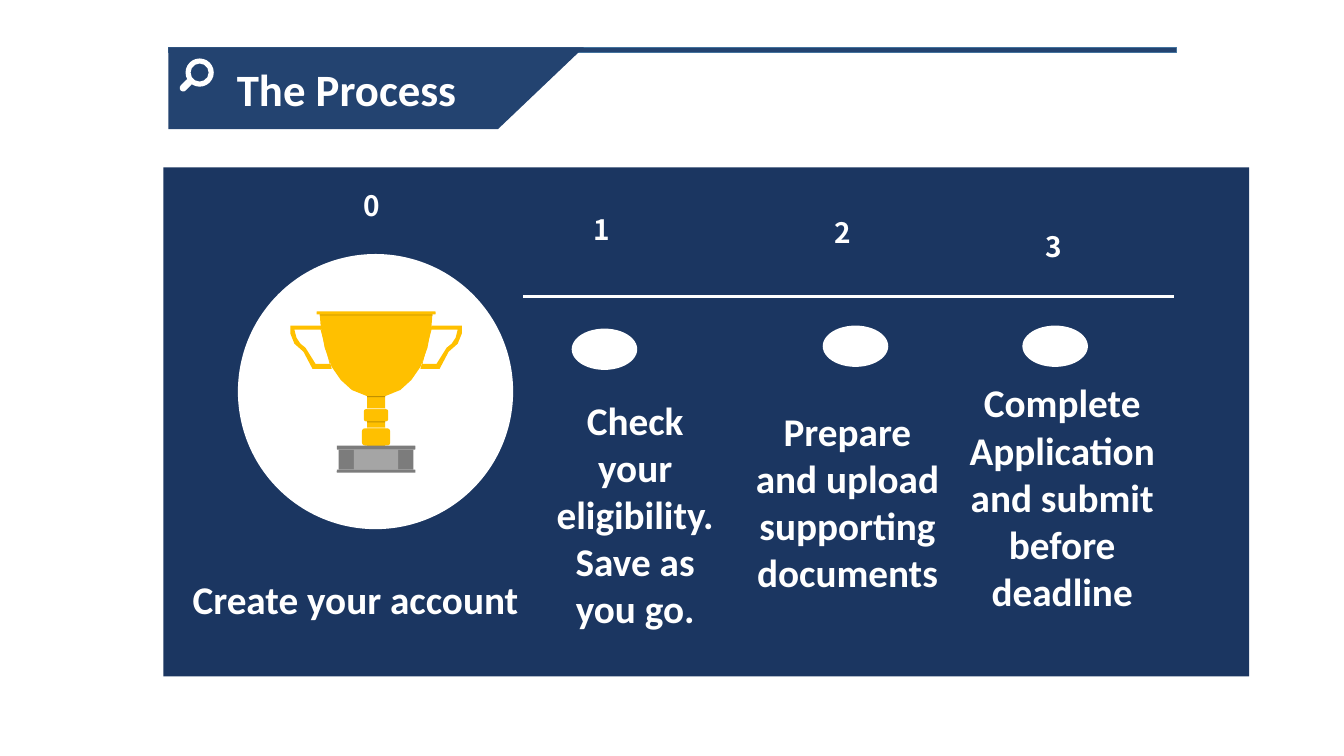
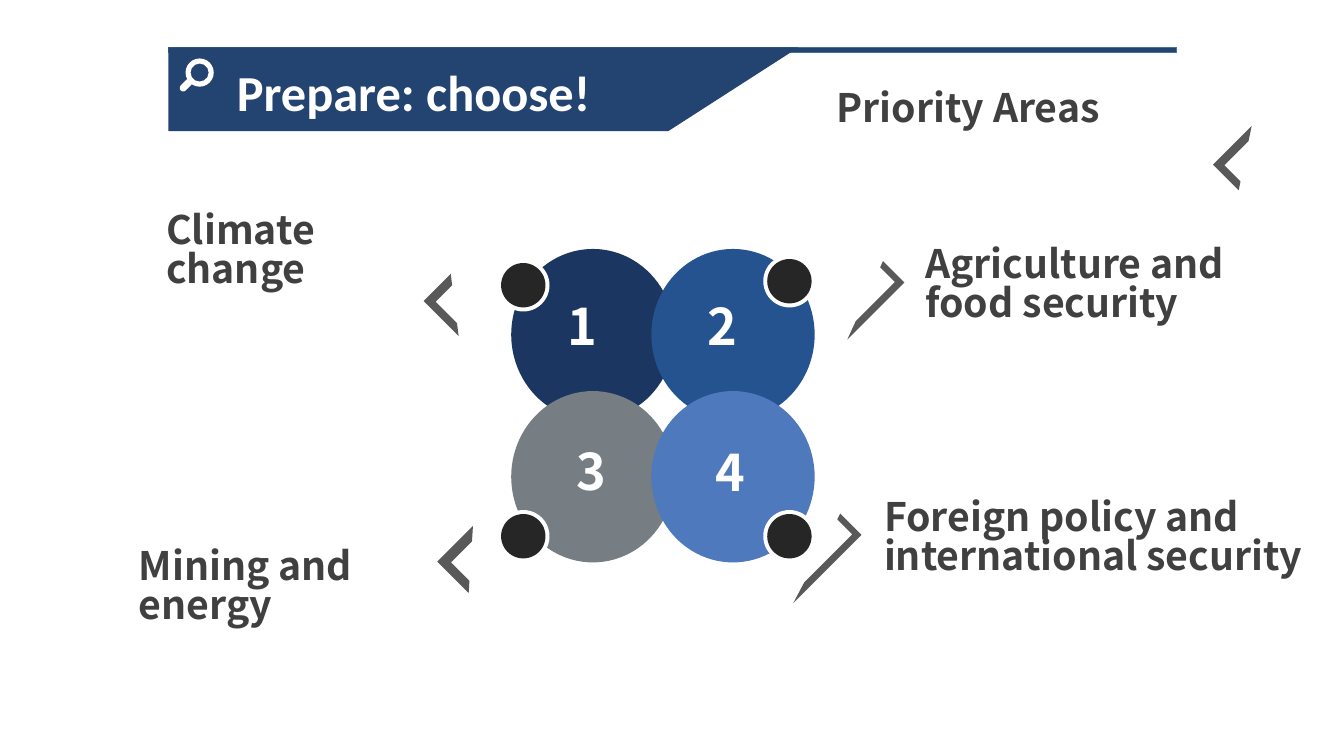
from pptx import Presentation
from pptx.dml.color import RGBColor
from pptx.enum.shapes import MSO_CONNECTOR, MSO_SHAPE
from pptx.enum.text import MSO_ANCHOR, PP_ALIGN
from pptx.oxml.ns import qn
from pptx.util import Pt
from lxml import etree

PX = 9144
RECT, OVAL, ROUND = MSO_SHAPE.RECTANGLE, MSO_SHAPE.OVAL, MSO_SHAPE.ROUNDED_RECTANGLE
DONUT, HALF_FRAME = MSO_SHAPE.DONUT, MSO_SHAPE.HALF_FRAME
LEFT, CENTER, JUSTIFY = PP_ALIGN.LEFT, PP_ALIGN.CENTER, PP_ALIGN.JUSTIFY
TOP, MIDDLE = MSO_ANCHOR.TOP, MSO_ANCHOR.MIDDLE
WHITE, BAND, NAVY = "FFFFFF", "234370", "1B3661"
GOLD, DARK_GOLD, PALE_GOLD = "FFC000", "BF9000", "FFE699"
GREY, LIGHT_GREY = "7C7C7C", "A5A5A5"
INK, CHEVRON, DOT = "404040", "595959", "262626"
BODY, LABEL = "Calibri", "Noto Sans CJK SC"


def shape(s, kind, x, y, w, h, color, rot=0, adj=()):
    if kind is None:
        first, *others = x
        fb = s.shapes.build_freeform(*first[0], scale=PX)
        fb.add_line_segments(first[1:])
        for hole in others:
            fb.move_to(*hole[0])
            fb.add_line_segments(hole[1:])
        sp = fb.convert_to_shape()
    else:
        sp = s.shapes.add_shape(kind, x * PX, y * PX, w * PX, h * PX)
    sp.shadow.inherit = False
    sp.fill.solid()
    sp.fill.fore_color.rgb = RGBColor.from_string(color)
    sp.line.fill.background()
    sp.rotation = rot
    for i, value in enumerate(adj):
        sp.adjustments[i] = value
    return sp


def text(s, paragraphs, x, y, w, h, size, color, font, align=LEFT, anchor=TOP):
    tf = s.shapes.add_textbox(x * PX, y * PX, w * PX, h * PX).text_frame
    tf.word_wrap = True
    tf.vertical_anchor = anchor
    for i, words in enumerate(paragraphs):
        p = tf.paragraphs[0] if i == 0 else tf.add_paragraph()
        p.alignment = align
        if font == LABEL:
            p.line_spacing = 0.83
        r = p.add_run()
        r.text = words
        r.font.size = Pt(size)
        r.font.bold = True
        r.font.name = font
        r.font.color.rgb = RGBColor.from_string(color)


prs = Presentation()
prs.slide_width, prs.slide_height = 1333 * PX, 750 * PX

slides = []
for title, size, top_right, bottom_right, bottom, title_w in [
    ("The Process", 32, 579, 494, 128, 295),
    ("Prepare: choose!", 36, 792, 663, 130, 421),
]:
    s = prs.slides.add_slide(prs.slide_layouts[6])
    slides.append(s)
    rule = shape(s, RECT, 167, 47, 1000, 5, BAND)
    rule.line.color.rgb = RGBColor.from_string("43739E")
    rule.line.width = Pt(1)
    banner = [(167, 47), (top_right, 47), (bottom_right, bottom), (167, bottom)]
    shape(s, None, [banner], 0, 0, 0, WHITE and BAND)
    shape(s, DONUT, 184, 58, 28, 28, WHITE, adj=[0.18])
    shape(s, ROUND, 177, 81, 15, 7, WHITE, rot=315, adj=[0.5])
    text(s, [title], 225, 56, title_w, 68, size, WHITE, BODY, JUSTIFY)

s = slides[0]
shape(s, RECT, 162, 166, 1077, 505, NAVY)
shape(s, OVAL, 236, 252, 273, 273, WHITE)

AXIS = 373
cup = [(429, 310), (428, 323), (424, 345), (417, 364), (408, 377), (397, 387), (382, 393)]
handle = [(428, 323), (458, 323), (458, 331), (454, 341), (445, 349), (436, 366), (417, 366)]
handle_hole = [(428, 327), (454, 327), (452, 335), (448, 341), (443, 345), (433, 361), (419, 361)]
mirrored = [(2 * AXIS - x, y) for x, y in reversed(cup)]
shape(s, None, [cup + mirrored], 0, 0, 0, GOLD)
for side in (1, -1):
    ring = [[(AXIS + side * (x - AXIS), y) for x, y in part] for part in (handle, handle_hole)]
    shape(s, None, ring, 0, 0, 0, GOLD)

for kind, w, y, h, color in [
    (ROUND, 118, 309, 3, GOLD),
    (RECT, 18, 392, 51, GOLD),
    (ROUND, 24, 406, 12, GOLD),
    (ROUND, 28, 425, 17, GOLD),
    (RECT, 112, 312, 1, DARK_GOLD),
    (RECT, 18, 393, 1, DARK_GOLD),
    (RECT, 18, 405, 1, PALE_GOLD),
    (RECT, 18, 418, 1, DARK_GOLD),
    (RECT, 18, 424, 1, PALE_GOLD),
    (ROUND, 78, 442, 4, GREY),
    (RECT, 74, 446, 20, GREY),
    (ROUND, 78, 466, 3, GREY),
    (RECT, 44, 446, 20, LIGHT_GREY),
]:
    shape(s, kind, AXIS - w // 2, y, w, h, color)

line = s.shapes.add_connector(MSO_CONNECTOR.STRAIGHT, 519 * PX, 294 * PX, 1164 * PX, 294 * PX)
line.line.color.rgb = RGBColor.from_string(WHITE)
line.line.width = Pt(2.25)
etree.SubElement(line._element.spPr, qn("a:effectLst"))

for x, y in [(567, 326), (816, 323), (1014, 323)]:
    shape(s, OVAL, x, y, 65, 41, WHITE)
for number, x, y in [("0", 351, 188), ("1", 579, 212), ("2", 818, 215), ("3", 1027, 228)]:
    text(s, [number], x, y, 100, 44, 20, WHITE, LABEL)
for words, x, y, w, h in [
    (["Create your account"], 167, 573, 371, 43),
    (["Check your eligibility.", "Save as you go."], 538, 492, 184, 36),
    (["Prepare and upload supporting documents"], 738, 485, 205, 25),
    (["Complete Application and submit before deadline"], 943, 459, 221, 67),
]:
    text(s, words, x, y, w, h, 28, WHITE, BODY, CENTER, MIDDLE)

s = slides[1]
for i, color in enumerate([NAVY, "25538F", "767D83", "4F79BD"]):
    shape(s, OVAL, 507 + i % 2 * 139, 247 + i // 2 * 141, 162, 170, color)
for x, y in [(493, 257), (757, 253), (493, 506), (757, 506)]:
    shape(s, OVAL, x, y, 52, 52, WHITE)
    shape(s, OVAL, x + 4, y + 4, 44, 44, DOT)
for number, x, y in [("1", 553, 298), ("2", 692, 298), ("3", 562, 442), ("4", 700, 443)]:
    text(s, [number], x, y, 123, 71, 36, WHITE, LABEL)
for x, y, w, h, rot in [
    (432, 278, 38, 49, 315),
    (442, 533, 50, 44, 315),
    (818, 283, 80, 30, 135),
    (762, 539, 96, 30, 135),
    (1208, 139, 54, 36, 315),
]:
    shape(s, HALF_FRAME, x, y, w, h, CHEVRON, rot, [0.233, 0.207])
for words, x, y, w, h in [
    ("Climate change", 155, 207, 250, 104),
    ("Mining and energy", 128, 540, 330, 104),
    ("Agriculture and food security", 908, 240, 334, 104),
    ("Foreign policy and international security", 867, 491, 442, 104),
    ("Priority Areas", 820, 86, 438, 53),
]:
    text(s, [words], x, y, w, h, 28, INK, LABEL)

prs.save("out.pptx")
